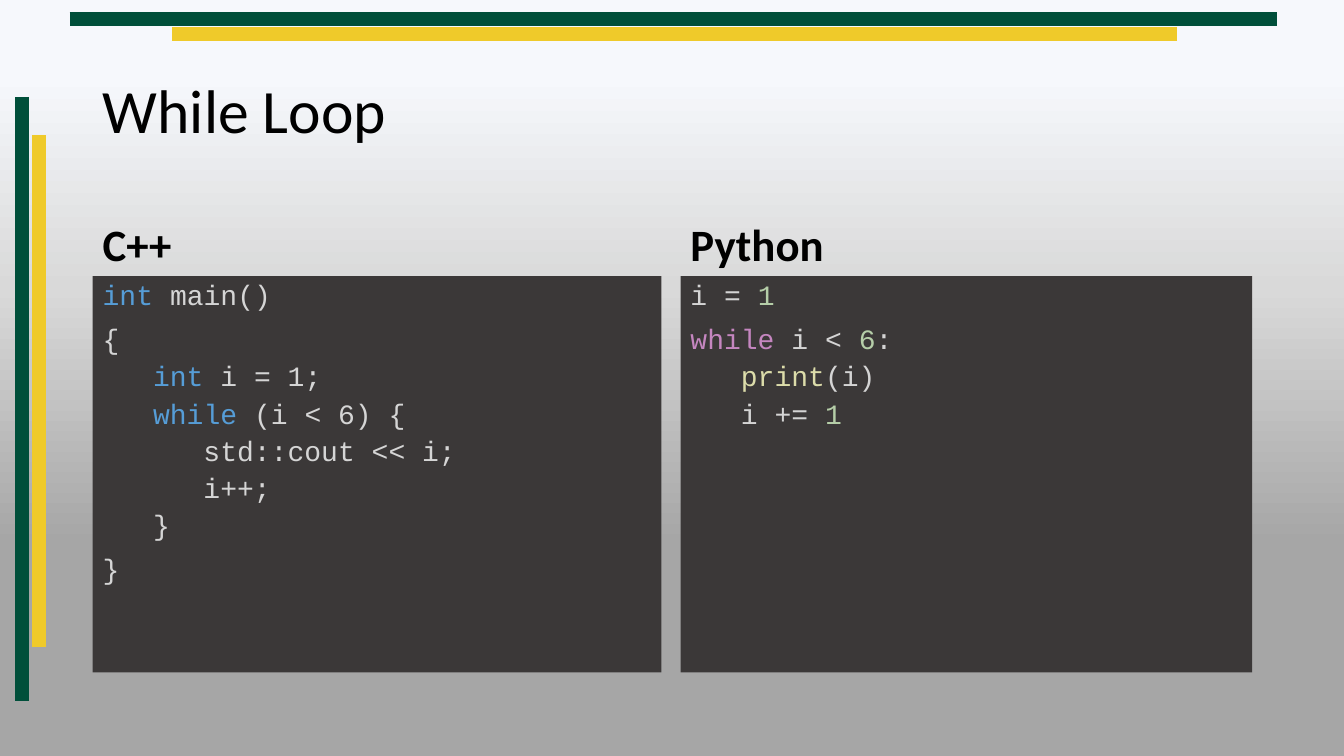
import pptx
import pptx.dml.color
import pptx.enum.shapes
import pptx.enum.text
import pptx.oxml
import pptx.oxml.ns
import pptx.util
from dataclasses import dataclass

PX = 9144  # EMU per px, 100 px to the inch


@dataclass(frozen=True)
class Theme:
    heading_font: str = "Calibri"
    code_font: str = "Courier New"
    title_size: int = 44
    heading_size: int = 32
    code_size: int = 20
    bar_width: int = 10
    ink: str = "000000"
    green: str = "004F3A"
    gold: str = "EFCA2A"
    panel: str = "3B3838"
    cpp_text: str = "D5D5D5"
    cpp_keyword: str = "569DD7"
    py_text: str = "D4D4D4"
    py_keyword: str = "C586C0"
    py_number: str = "B5CEA8"
    py_function: str = "DCDCAA"
    backdrop: tuple = ((10, "F6F8FC"), (38, "D9D9D9"), (72, "A6A6A6"), (100, "A6A6A6"))


def rgb(value):
    return pptx.dml.color.RGBColor.from_string(value)


def write(paragraph, text, *, font, size, color, bold=False):
    """Add one formatted run to a paragraph."""
    run = paragraph.add_run()
    run.text = text
    run.font.name = font
    run.font.size = pptx.util.Pt(size)
    run.font.bold = bold
    run.font.color.rgb = rgb(color)


class SlideBuilder:
    def __init__(self, slide, theme):
        self.slide, self.theme = slide, theme

    def background(self):
        fill = self.slide.background.fill
        fill.gradient()
        fill.gradient_angle = 270
        stops = self.slide.element.find(".//" + pptx.oxml.ns.qn("a:gsLst"))
        for stop in list(stops):
            stops.remove(stop)
        for percent, color in self.theme.backdrop:
            stops.append(pptx.oxml.parse_xml(
                f'<a:gs {pptx.oxml.ns.nsdecls("a")} pos="{percent * 1000}">'
                f'<a:srgbClr val="{color}"/></a:gs>'))

    def bar(self, x1, y1, x2, y2, color):
        bar = self.slide.shapes.add_connector(
            pptx.enum.shapes.MSO_CONNECTOR.STRAIGHT, x1 * PX, y1 * PX, x2 * PX, y2 * PX)
        bar.line.color.rgb = rgb(color)
        bar.line.width = pptx.util.Pt(self.theme.bar_width)
        properties = bar.element.find(pptx.oxml.ns.qn("p:spPr"))
        properties.append(pptx.oxml.parse_xml(f'<a:effectLst {pptx.oxml.ns.nsdecls("a")}/>'))

    def set_frame(self, shape, anchor):
        frame = shape.text_frame
        frame.word_wrap = True
        frame.auto_size = pptx.enum.text.MSO_AUTO_SIZE.NONE
        frame.vertical_anchor = anchor
        return frame

    def set_paragraph(self, paragraph, level=0, space_before=0):
        paragraph.alignment = pptx.enum.text.PP_ALIGN.LEFT
        paragraph.line_spacing = 0.9
        paragraph.space_before = pptx.util.Pt(space_before)
        if level:
            paragraph.level = level
            properties = paragraph._p.get_or_add_pPr()
            properties.set("marL", str(level * 50 * PX))
            properties.set("indent", "0")

    def title(self, text, x, y, w, h):
        title = self.slide.shapes.title
        title.left, title.top, title.width, title.height = (v * PX for v in (x, y, w, h))
        paragraph = self.set_frame(title, pptx.enum.text.MSO_ANCHOR.MIDDLE).paragraphs[0]
        self.set_paragraph(paragraph)
        write(paragraph, text, font=self.theme.heading_font,
              size=self.theme.title_size, color=self.theme.ink)

    def heading(self, text, x, y, w, h):
        heading = self.slide.shapes.add_textbox(x * PX, y * PX, w * PX, h * PX)
        paragraph = self.set_frame(heading, pptx.enum.text.MSO_ANCHOR.BOTTOM).paragraphs[0]
        self.set_paragraph(paragraph, space_before=10)
        write(paragraph, text, font=self.theme.heading_font,
              size=self.theme.heading_size, color=self.theme.ink, bold=True)

    def code(self, lines, x, y, w, h):
        """Draw a code panel; each line is (level, (text, color), ...)."""
        panel = self.slide.shapes.add_shape(
            pptx.enum.shapes.MSO_SHAPE.RECTANGLE, x * PX, y * PX, w * PX, h * PX)
        panel.shadow.inherit = False
        panel.fill.solid()
        panel.fill.fore_color.rgb = rgb(self.theme.panel)
        panel.line.fill.background()
        frame = self.set_frame(panel, pptx.enum.text.MSO_ANCHOR.TOP)
        for number, (level, *tokens) in enumerate(lines):
            paragraph = frame.add_paragraph() if number else frame.paragraphs[0]
            self.set_paragraph(paragraph, level, 5 if level else 10)
            for text, color in tokens:
                write(paragraph, text, font=self.theme.code_font,
                      size=self.theme.code_size, color=color)


def main():
    deck = pptx.Presentation()
    deck.slide_width, deck.slide_height = 1333 * PX, 750 * PX
    theme = Theme()
    builder = SlideBuilder(deck.slides.add_slide(deck.slide_layouts[5]), theme)

    # Backdrop and edge bars
    builder.background()
    builder.bar(69, 19, 1267, 19, theme.green)
    builder.bar(22, 96, 22, 695, theme.green)
    builder.bar(171, 34, 1167, 34, theme.gold)
    builder.bar(39, 134, 39, 642, theme.gold)

    builder.title("While Loop", 92, 40, 1150, 145)

    # Code samples
    plain, keyword = theme.cpp_text, theme.cpp_keyword
    cpp_lines = [
        (0, ("int ", keyword), ("main()", plain)),
        (0, ("{", plain)),
        (1, ("int ", keyword), ("i = 1;", plain)),
        (1, ("while", keyword), (" (i < 6) {", plain)),
        (2, ("std::cout << i;", plain)),
        (2, ("i++;", plain)),
        (1, ("}", plain)),
        (0, ("}", plain)),
    ]
    plain, number = theme.py_text, theme.py_number
    python_lines = [
        (0, ("i = ", plain), ("1", number)),
        (0, ("while", theme.py_keyword), (" i < ", plain), ("6", number), (":", plain)),
        (1, ("print", theme.py_function), ("(i)", plain)),
        (1, ("i += ", plain), ("1", number)),
    ]

    # Two columns, each a heading above its panel
    for language, lines, left, width in (
            ("C++", cpp_lines, 92, 564), ("Python", python_lines, 675, 567)):
        builder.heading(language, left, 184, width, 90)
        builder.code(lines, left, 274, width, 393)

    deck.save("out.pptx")


if __name__ == "__main__":
    main()
